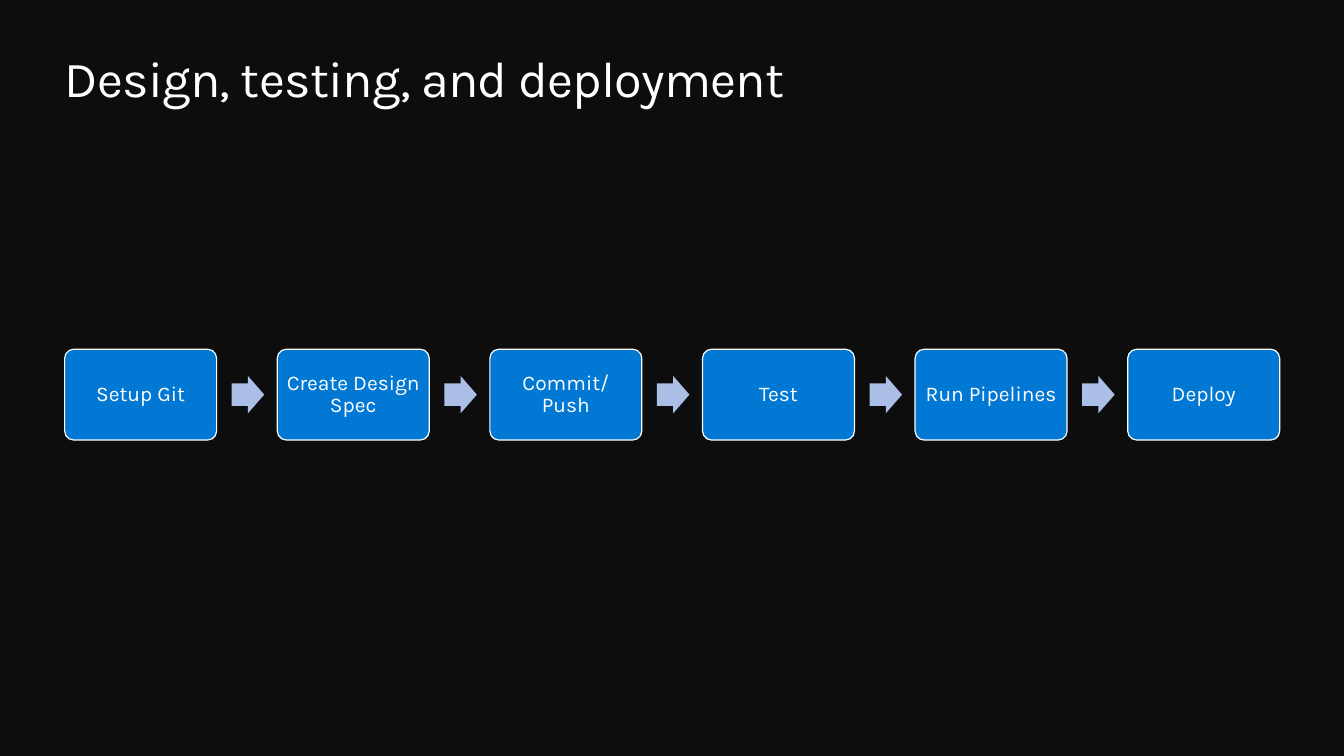
from pptx import Presentation
from pptx.dml.color import RGBColor as Rgb
from pptx.enum.shapes import MSO_SHAPE as Kind
from pptx.enum.text import MSO_ANCHOR as Anchor, MSO_AUTO_SIZE as Auto, PP_ALIGN as Align
from pptx.util import Cm, Pt

DARK = Rgb(0x0D, 0x0D, 0x0D)
WHITE = Rgb(0xFF, 0xFF, 0xFF)
BLUE = Rgb(0x00, 0x78, 0xD4)
PALE = Rgb(0xAB, 0xBE, 0xE6)

STEPS = ["Setup Git", "Create Design Spec", "Commit/Push",
         "Test", "Run Pipelines", "Deploy"]


def apply(item, style):
    for name, value in style.items():
        setattr(item, name, value)


def write(shape, text, size, align, inset):
    frame = shape.text_frame
    frame.text = text
    sides = ("left", "top", "right", "bottom")
    apply(frame, {f"margin_{side}": Cm(inset) for side in sides})
    apply(frame, {"word_wrap": True, "auto_size": Auto.NONE,
                  "vertical_anchor": Anchor.MIDDLE})
    para = frame.paragraphs[0]
    apply(para, {"alignment": align, "line_spacing": 0.9})
    run = para.runs[0]
    apply(run.font, {"name": "Karla", "size": Pt(size), "bold": False})
    run.font.color.rgb = WHITE
    return run


def add_title(slide, text, left, top, width, height):
    title = slide.shapes.title
    apply(title, {"left": Cm(left), "top": Cm(top),
                  "width": Cm(width), "height": Cm(height)})
    run = write(title, text, 36, Align.LEFT, 0)
    run.font._element.set("spc", "-50")


def add_form(slide, kind, box, fill, ratios):
    form = slide.shapes.add_shape(kind, *map(Cm, box))
    form.shadow.inherit = False
    form.fill.solid()
    form.fill.fore_color.rgb = fill
    form.line.fill.background()
    for i, ratio in enumerate(ratios):
        form.adjustments[i] = ratio
    return form


def add_flow(slide, steps, left, top, width, height):
    card = 3.83
    pitch = (width - card) / (len(steps) - 1)
    wide, high = 0.82, 0.94
    for i, step in enumerate(steps):
        x = left + i * pitch
        form = add_form(slide, Kind.ROUNDED_RECTANGLE,
                        (x, top, card, height), BLUE, [0.1])
        form.line.color.rgb = WHITE
        form.line.width = Pt(0.85)
        write(form, step, 15, Align.CENTER, 0.16)
        if i < len(steps) - 1:
            box = (x + card + 0.38, top + (height - high) / 2, wide, high)
            add_form(slide, Kind.RIGHT_ARROW, box, PALE, [0.6, 0.5])


def main():
    deck = Presentation()
    apply(deck, {"slide_width": Cm(33.87), "slide_height": Cm(19.05)})
    slide = deck.slides.add_slide(deck.slide_layouts[5])
    back = slide.background.fill
    back.solid()
    back.fore_color.rgb = DARK
    add_title(slide, "Design, testing, and deployment", 1.63, 1.27, 30.6, 1.55)
    add_flow(slide, STEPS, 1.63, 8.8, 30.62, 2.29)
    deck.save("out.pptx")


if __name__ == "__main__":
    main()
